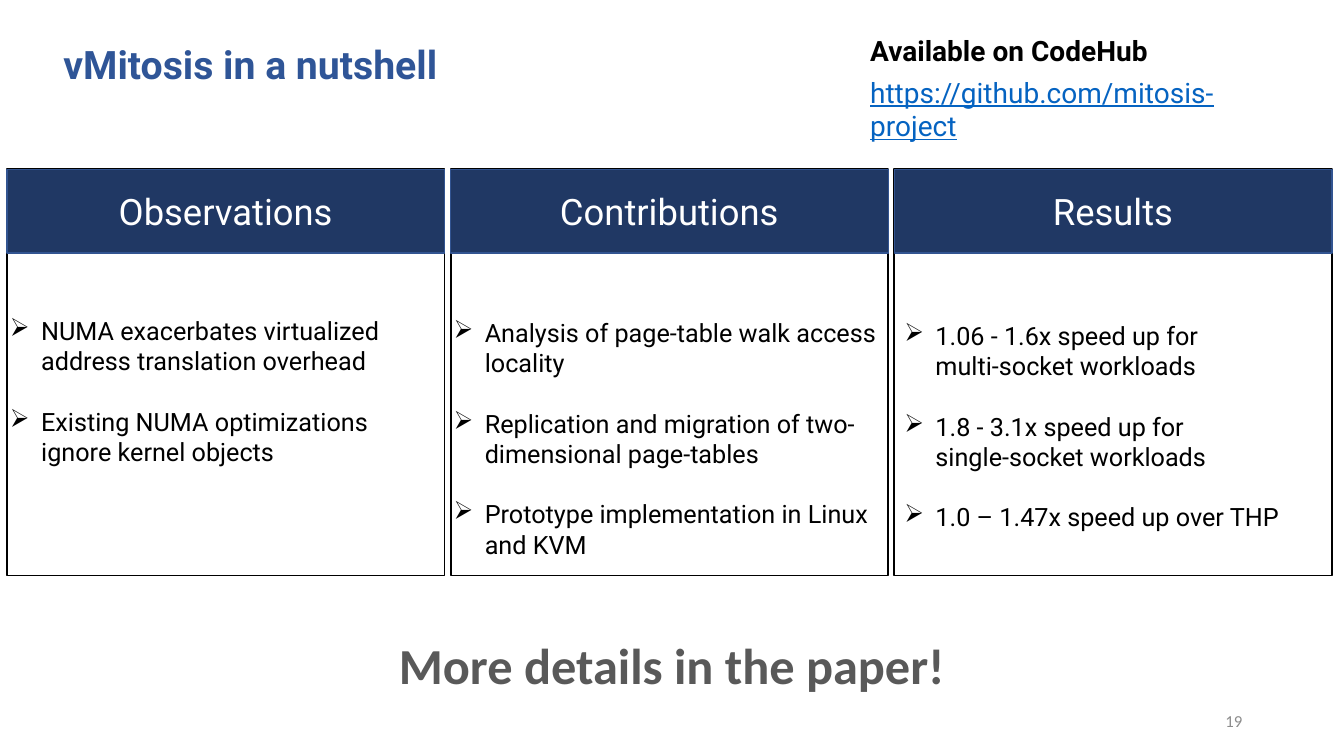
"""Build the vMitosis summary slide: three headed cards between a title and a closing line."""
from lxml.etree import SubElement
from pptx import Presentation
from pptx.dml.color import RGBColor
from pptx.enum.shapes import MSO_SHAPE
from pptx.enum.text import MSO_ANCHOR, PP_ALIGN
from pptx.oxml.ns import qn
from pptx.util import Inches, Pt

TITLE = "vMitosis in a nutshell"
AVAILABILITY = "Available on CodeHub"
REPOSITORY = "https://github.com/mitosis-project"
CLOSING = "More details in the paper!"
PAGE_NUMBER = "19"
CARDS = [
    {"heading": "Observations", "text_shift": (-0.07, 3.08), "points": [
        "NUMA exacerbates virtualized address translation overhead",
        "Existing NUMA optimizations\vignore kernel objects"]},
    {"heading": "Contributions", "text_shift": (-0.07, 3.1), "points": [
        "Analysis of page-table walk access locality",
        "Replication and migration of two-\vdimensional page-tables",
        "Prototype implementation in Linux and KVM"]},
    {"heading": "Results", "text_shift": (0, 3.13), "points": [
        "1.06 - 1.6x speed up for\vmulti-socket workloads",
        "1.8 - 3.1x speed up for\vsingle-socket workloads",
        "1.0 – 1.47x speed up over THP"]},
]

THEME = {
    "title": {"name": "Roboto", "size": 28, "color": "2F5597", "bold": True},
    "label": {"name": "Roboto", "size": 20, "color": "000000", "bold": True},
    "address": {"name": "Roboto", "size": 20, "color": "0563C1", "underline": True},
    "heading": {"name": "Roboto", "size": 26, "color": "FFFFFF"},
    "point": {"name": "Roboto", "size": 18, "color": "000000"},
    "closing": {"name": "Calibri", "size": 36, "color": "595959", "bold": True},
    "number": {"name": "Calibri", "size": 12, "color": "8C8C8C"},
    "card_line": "000000",
    "banner_fill": "203864",
    "banner_line": "325491",
}
SLIDE_WIDTH, SLIDE_HEIGHT = 13.33, 7.5
CARD_LEFT, CARD_TOP, CARD_PITCH = 0.07, 1.68, 4.4
CARD_WIDTH, CARD_HEIGHT, BANNER_HEIGHT = 4.34, 4.03, 0.83
POINTS_WIDTH, POINT_INDENT, POINT_GAP = 4.65, 0.31, 21.5


def style(para, role, **layout):
    """Apply a theme text role and paragraph layout."""
    for key, value in layout.items():
        setattr(para, key, value)
    for key, value in THEME[role].items():
        if key == "color":
            para.font.color.rgb = RGBColor.from_string(value)
        else:
            setattr(para.font, key, Pt(value) if key == "size" else value)


def add_text(page, area, lines, role, inset=True, anchor=MSO_ANCHOR.TOP, **layout):
    """Add a wrapping text box and return its paragraphs."""
    frame = page.shapes.add_textbox(*map(Inches, area)).text_frame
    settings = {"word_wrap": True, "vertical_anchor": anchor}
    if not inset:
        settings.update(dict.fromkeys(
            ("margin_left", "margin_right", "margin_top", "margin_bottom"), 0))
    for key, value in settings.items():
        setattr(frame, key, value)
    for index, line in enumerate(lines):
        para = frame.add_paragraph() if index else frame.paragraphs[0]
        para.text = line
        style(para, role, **layout)
    return frame.paragraphs


def add_box(page, area, fill, line, weight):
    """Add a flat rectangle with an optional fill."""
    box = page.shapes.add_shape(MSO_SHAPE.RECTANGLE, *map(Inches, area))
    box.shadow.inherit = False
    if fill:
        box.fill.solid()
        box.fill.fore_color.rgb = RGBColor.from_string(fill)
    else:
        box.fill.background()
    box.line.color.rgb = RGBColor.from_string(line)
    box.line.width = Pt(weight)
    return box


def add_card(page, column, card):
    """Add one card with its banner and bulleted points."""
    left = CARD_LEFT + column * CARD_PITCH
    add_box(page, (left, CARD_TOP, CARD_WIDTH, CARD_HEIGHT), None, THEME["card_line"], 1.25)
    banner = add_box(page, (left, CARD_TOP, CARD_WIDTH, BANNER_HEIGHT),
                     THEME["banner_fill"], THEME["banner_line"], 1)
    banner.text_frame.text = card["heading"]
    banner.text_frame.vertical_anchor = MSO_ANCHOR.MIDDLE
    style(banner.text_frame.paragraphs[0], "heading", alignment=PP_ALIGN.CENTER)
    shift, top = card["text_shift"]
    area = (left + shift, top, POINTS_WIDTH, CARD_TOP + CARD_HEIGHT - top)
    for index, para in enumerate(add_text(page, area, card["points"], "point")):
        properties = para._p.get_or_add_pPr()
        properties.set("marL", str(Inches(POINT_INDENT)))
        properties.set("indent", str(-Inches(POINT_INDENT)))
        if index:
            para.space_before = Pt(POINT_GAP)
        bullet = SubElement(properties, qn("a:buChar"))
        bullet.set("char", "➢")
        properties.insert(properties.index(properties.find(qn("a:defRPr"))), bullet)


def main():
    """Compose and save the slide."""
    deck = Presentation()
    deck.slide_width, deck.slide_height = Inches(SLIDE_WIDTH), Inches(SLIDE_HEIGHT)
    page = deck.slides.add_slide(deck.slide_layouts[6])
    add_text(page, (0.63, 0.45, 7.5, 0.42), [TITLE], "title", inset=False,
             anchor=MSO_ANCHOR.BOTTOM, line_spacing=0.9)
    for column, card in enumerate(CARDS):
        add_card(page, column, card)
    label, address = add_text(page, (8.63, 0.33, 4.09, 0.76), [AVAILABILITY, REPOSITORY],
                              "label", inset=False, space_after=Pt(6))
    address.font.bold = False
    style(address, "address")
    add_text(page, (9.42, 6.95, 3, 0.4), [PAGE_NUMBER], "number",
             anchor=MSO_ANCHOR.MIDDLE, alignment=PP_ALIGN.RIGHT)
    add_text(page, (0, 6.24, SLIDE_WIDTH, 0.71), [CLOSING], "closing",
             alignment=PP_ALIGN.CENTER)
    deck.save("out.pptx")


if __name__ == "__main__":
    main()
